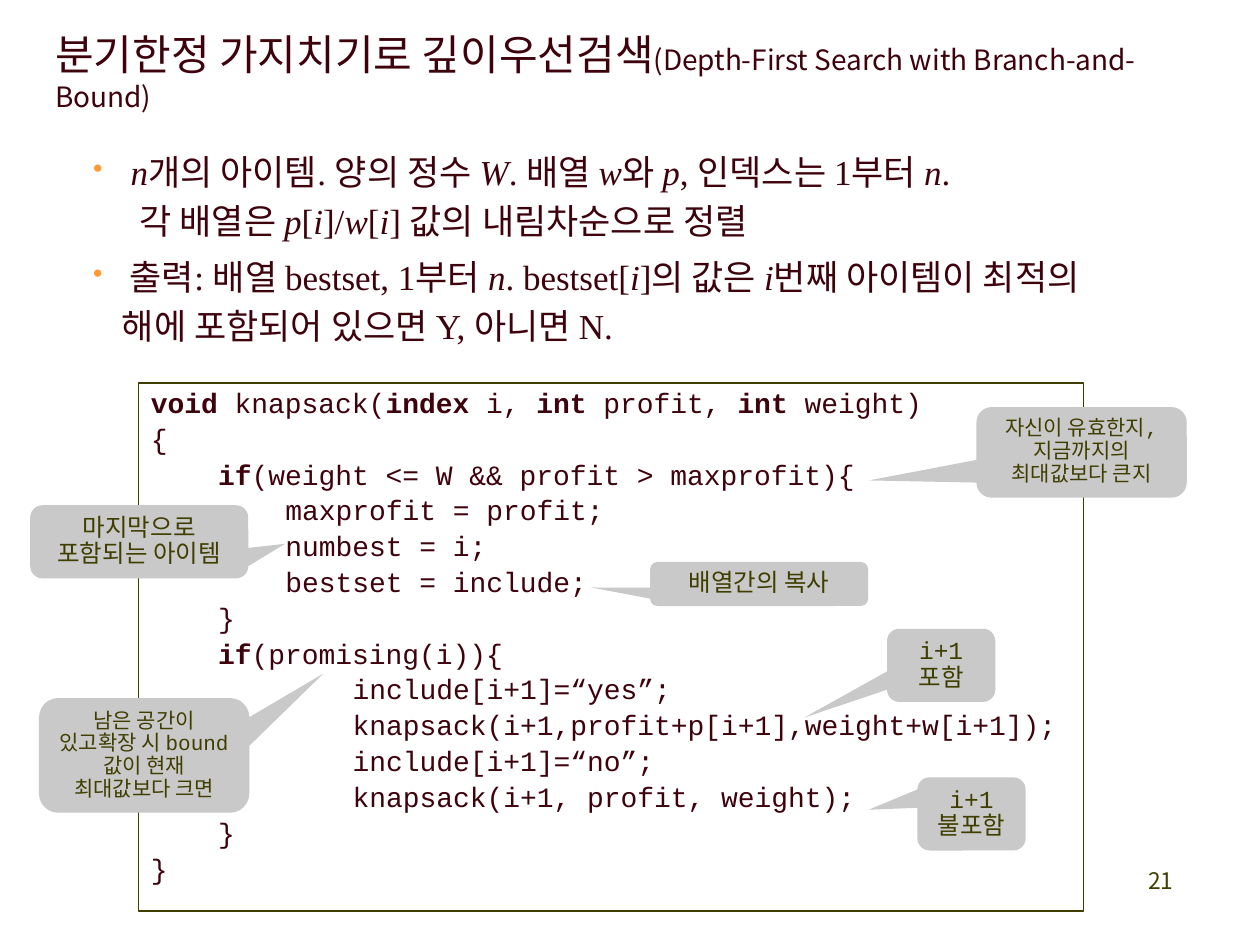
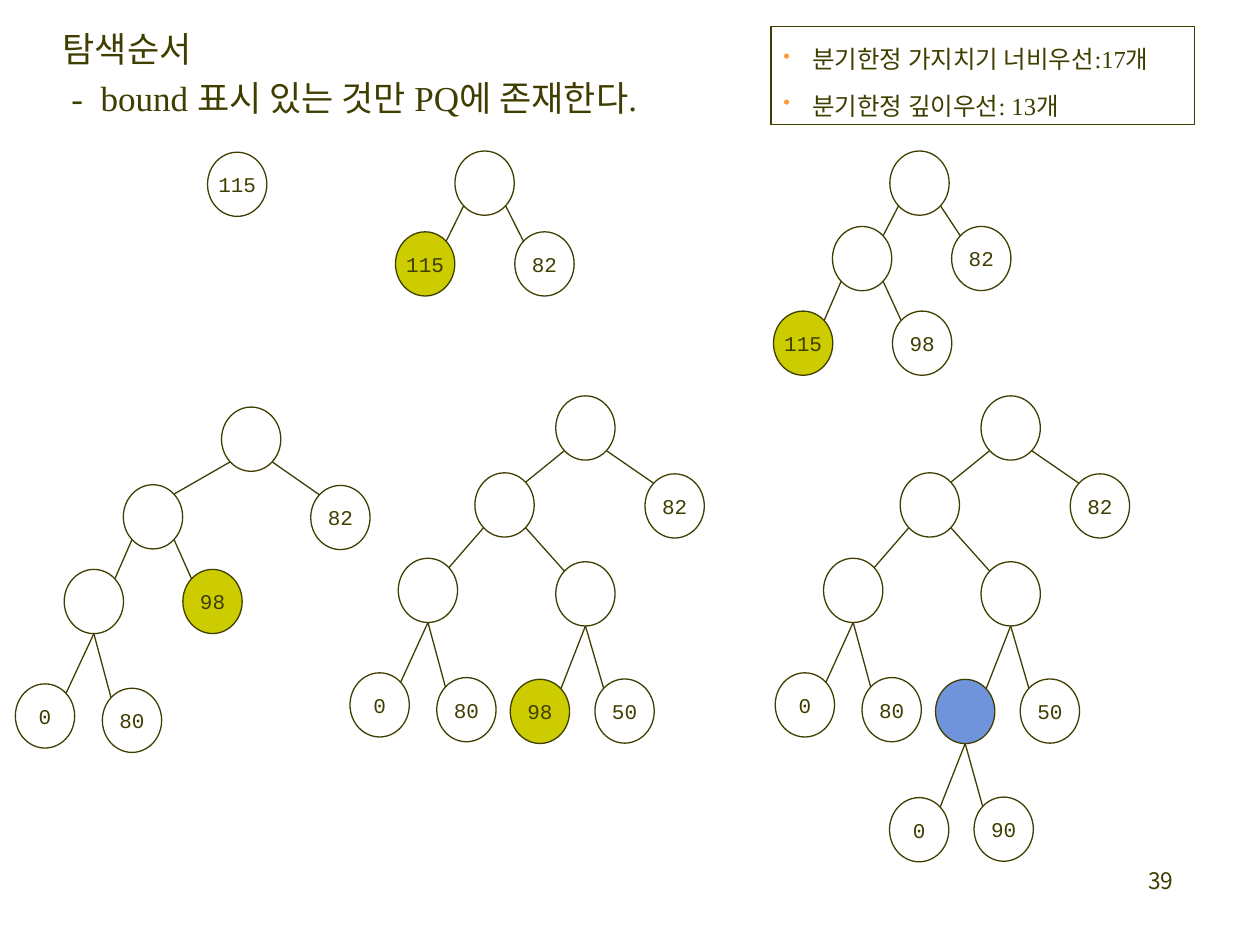
import dataclasses

import pptx
import pptx.dml.color
import pptx.enum.shapes
import pptx.enum.text
import pptx.oxml.ns
import pptx.util
from lxml import etree

Pt = pptx.util.Pt
qn = pptx.oxml.ns.qn
ALIGN = pptx.enum.text.PP_ALIGN
ANCHOR = pptx.enum.text.MSO_ANCHOR
SHAPE = pptx.enum.shapes.MSO_SHAPE

# Shared look
OLIVE, MAROON, ORANGE = "3F3E00", "3E020C", "FF9933"
GREY, LIME, BLUE = "C9C9C9", "CCCC00", "7094DC"
SANS, SERIF, MONO = "Noto Sans CJK KR", "Times New Roman", "Courier New"
BULLET_INDENT = 16.5
CODE_INDENT = 38.4  # four characters of the 16 pt code font
NODE_W, NODE_H = 33.9, 36.7
CORNER = 0.146  # where the diagonal meets the outline of a node


@dataclasses.dataclass
class Style:
    font: str
    size: float
    color: str = OLIVE
    align: object = ALIGN.LEFT
    line: object = None
    before: bool = False  # a fifth of a line above each paragraph
    bullet: bool = False
    emphasis: str = ""  # what *starred* parts become: bold or italic


TITLE = Style(SANS, 24, MAROON)
SUBTITLE = Style(SANS, 16, MAROON)
PAGE_NUMBER = Style(SANS, 13, align=ALIGN.RIGHT)
BODY = Style(SERIF, 20, MAROON, line=Pt(28), before=True, bullet=True, emphasis="italic")
CODE = Style(MONO, 16, MAROON, line=0.9, before=True, emphasis="bold")
ORDER_TITLE = Style(SERIF, 20, line=Pt(28))
COUNTS = Style(SERIF, 14, line=Pt(24), before=True, bullet=True)
NODE_LABEL = Style(MONO, 12, align=ALIGN.CENTER)


def rgb(color):
    return pptx.dml.color.RGBColor.from_string(color)


# Text
def add_run(paragraph, text, style, emphasised=False):
    run = paragraph.add_run()
    run.text = text
    run.font.name, run.font.size = style.font, Pt(style.size)
    run.font.color.rgb = rgb(style.color)
    if style.emphasis:
        setattr(run.font, style.emphasis, emphasised)
    latin = run.font._element.find(qn("a:latin"))
    east_asian = etree.Element(qn("a:ea"), typeface=SANS)
    latin.addnext(east_asian)


def add_marked_text(paragraph, text, style):
    for part, words in enumerate(text.split("*")):
        for row, piece in enumerate(words.split("\n")):
            if row:
                paragraph.add_line_break()
            if piece:
                add_run(paragraph, piece, style, part % 2 == 1)


def format_paragraph(paragraph, style, indent=0):
    paragraph.alignment = style.align
    paragraph.line_spacing = style.line
    props = paragraph._p.get_or_add_pPr()
    if style.before:
        paragraph.space_before = Pt(0)
        before = props.find(qn("a:spcBef"))
        before.clear()
        etree.SubElement(before, qn("a:spcPct"), val="20000")
    if style.bullet:
        props.set("marL", str(Pt(BULLET_INDENT)))
        props.set("indent", str(-Pt(BULLET_INDENT)))
        color = etree.SubElement(props, qn("a:buClr"))
        etree.SubElement(color, qn("a:srgbClr"), val=ORANGE)
        etree.SubElement(props, qn("a:buSzPct"), val="80000")
        etree.SubElement(props, qn("a:buChar"), char="•")
    elif indent:
        props.set("marL", str(Pt(indent)))
        props.set("indent", "0")


def fill_text(shape, lines, style, anchor=ANCHOR.TOP, indents=None, grow=True):
    frame = shape.text_frame
    frame.word_wrap = True
    frame.vertical_anchor = anchor
    if grow:
        frame.auto_size = pptx.enum.text.MSO_AUTO_SIZE.SHAPE_TO_FIT_TEXT
    for number, line in enumerate(lines):
        paragraph = frame.add_paragraph() if number else frame.paragraphs[0]
        format_paragraph(paragraph, style, indents[number] if indents else 0)
        add_marked_text(paragraph, line, style)
    return frame


# Elements
def add_text_box(slide, box, lines, style, grow=True):
    shape = slide.shapes.add_textbox(*map(Pt, box))
    return fill_text(shape, lines, style, grow=grow)


def add_outline(slide, preset, box, fill=None, line=OLIVE):
    shape = slide.shapes.add_shape(preset, *map(Pt, box))
    shape.shadow.inherit = False
    if fill:
        shape.fill.solid()
        shape.fill.fore_color.rgb = rgb(fill)
    else:
        shape.fill.background()
    if line:
        shape.line.color.rgb = rgb(line)
        shape.line.width = Pt(0.75)
    else:
        shape.line.fill.background()
    return shape


def add_callout(slide, box, tail, size, text):
    shape = add_outline(slide, SHAPE.ROUNDED_RECTANGULAR_CALLOUT, box, GREY, None)
    for number, value in enumerate((*tail, 0.167)):
        shape.adjustments[number] = value
    style = Style(MONO, size, align=ALIGN.CENTER, line=0.9, before=True)
    fill_text(shape, [text], style)


def add_page_number(slide, number):
    add_text_box(slide, (527.8, 491.8, 149.8, 36), [str(number)], PAGE_NUMBER, grow=False)


def add_edge(slide, start, end):
    edge = slide.shapes.add_connector(
        pptx.enum.shapes.MSO_CONNECTOR.STRAIGHT, *map(Pt, (*start, *end)))
    edge.line.color.rgb = rgb(OLIVE)
    edge.line.width = Pt(0.75)
    etree.SubElement(edge._element.spPr, qn("a:effectLst"))


# Search trees
@dataclasses.dataclass
class Node:
    x: float
    y: float
    label: str = ""
    fill: str = None
    children: tuple = ()

    def at(self, across, down):
        return self.x + across * NODE_W, self.y + down * NODE_H


def shifted(node, dx):
    children = tuple(shifted(child, dx) for child in node.children)
    return dataclasses.replace(node, x=node.x + dx, children=children)


def draw_tree(slide, node):
    shape = add_outline(slide, SHAPE.OVAL, (node.x, node.y, NODE_W, NODE_H), node.fill)
    if node.label:
        frame = fill_text(shape, [node.label], NODE_LABEL, ANCHOR.MIDDLE)
        frame.margin_left = frame.margin_right = 0
        frame.margin_top = frame.margin_bottom = Pt(5.76)
    if not node.children:
        return
    for child in node.children:
        draw_tree(slide, child)
    # Close siblings hang from the bottom point, others from the corners
    left, right = node.children
    close = right.x - left.x < 60
    near, far = CORNER, 1 - CORNER
    add_edge(slide, node.at(0.5, 1) if close else node.at(near, far), left.at(far, near))
    add_edge(slide, node.at(0.5, 1) if close else node.at(far, far), right.at(near, near))


def five_level_tree(expanded):
    """The tree before and after the 98 node is expanded."""
    if expanded:
        best = Node(291.6, 388.2, "", BLUE,
                    (Node(265.3, 455.8, "0"), Node(313.6, 455.5, "90")))
    else:
        best = Node(291.6, 388.2, "98", LIME)
    left = Node(227.6, 319, children=(Node(200, 384.5, "0"), Node(249.6, 387.2, "80")))
    right = Node(317.6, 321, children=(best, Node(340, 388, "50")))
    inner = Node(271.4, 270.2, children=(left, right))
    return Node(317.6, 226.2, children=(inner, Node(368.6, 270.8, "82")))


SEARCH_TREES = (
    Node(118.6, 87, "115"),
    Node(260, 86.3, children=(Node(226, 132.5, "115", LIME), Node(294.2, 132.5, "82"))),
    Node(508.5, 86.3, children=(
        Node(475.7, 129.4, children=(
            Node(442, 177.8, "115", LIME), Node(510, 177.8, "98"))),
        Node(543.8, 129.4, "82"))),
    Node(126.6, 232.6, children=(
        Node(70.5, 277, children=(
            Node(36.7, 325.4, children=(Node(8.8, 390.8, "0"), Node(58.5, 393.3, "80"))),
            Node(104.5, 325.4, "98", LIME))),
        Node(177.6, 277.4, "82"))),
    five_level_tree(expanded=False),
    shifted(five_level_tree(expanded=True), 243),
)

# Indent level and text of each code line
KNAPSACK = (
    (0, "*void* knapsack(*index* i, *int* profit, *int* weight)"),
    (0, "{"),
    (1, "*if*(weight <= W && profit > maxprofit){"),
    (2, "maxprofit = profit;"),
    (2, "numbest = i;"),
    (2, "bestset = include;"),
    (1, "}"),
    (1, "*if*(promising(i)){"),
    (3, "include[i+1]=“yes”;"),
    (3, "knapsack(i+1,profit+p[i+1],weight+w[i+1]);"),
    (3, "include[i+1]=“no”;"),
    (3, "knapsack(i+1, profit, weight);"),
    (1, "}"),
    (0, "}"),
)

# Box, tail tip, text size and text of each remark on the code
REMARKS = (
    ((506.9, 359.3, 61.9, 41.8), (-1.263, 0.713), 14, "i+1 포함"),
    ((524.2, 444.2, 61.9, 41.8), (-0.949, -0.057), 14, "i+1 불포함"),
    ((558, 232.6, 120.2, 51.8), (-1.013, 0.31), 12,
     "자신이 유효한지, 지금까지의 최대값보다 큰지"),
    ((22.3, 398.9, 120.2, 65.5), (0.853, -0.715), 12,
     "남은 공간이 있고확장 시 bound 값이 현재 최대값보다 크면"),
    ((371.5, 321.1, 124.6, 25.2), (-0.77, 0.08), 14, "배열간의 복사"),
    ((17.3, 288.7, 124.6, 41.8), (0.668, 0.028), 14, "마지막으로 포함되는 아이템"),
)


def build_algorithm_slide(slide):
    add_page_number(slide, 21)
    title = add_text_box(slide, (24.5, 13, 671.8, 55.4),
                         ["분기한정 가지치기로 깊이우선검색"], TITLE)
    add_run(title.paragraphs[0], "(Depth-First Search with Branch-and-Bound)", SUBTITLE)
    code_box = add_outline(slide, SHAPE.RECTANGLE, (79.2, 218.9, 540, 301.7))
    fill_text(code_box, [text for _, text in KNAPSACK], CODE,
              indents=[level * CODE_INDENT for level, _ in KNAPSACK])
    add_text_box(slide, (46.1, 78.5, 613.4, 125.3), [
        " *n*개의 아이템. 양의 정수 *W*. 배열 *w*와 *p*, 인덱스는 1부터 *n*. \n"
        "  각 배열은 *p*[*i*]/*w*[*i*] 값의 내림차순으로 정렬",
        " 출력: 배열 bestset, 1부터 *n*. bestset[*i*]의 값은 *i*번째 아이템이 "
        "최적의 해에 포함되어 있으면 Y, 아니면 N.",
    ], BODY)
    for box, tail, size, text in REMARKS:
        add_callout(slide, box, tail, size, text)


def build_search_order_slide(slide):
    add_page_number(slide, 39)
    counts_box = add_outline(slide, SHAPE.RECTANGLE, (440.6, 15.1, 241.9, 56.2))
    fill_text(counts_box, ["분기한정 가지치기 너비우선:17개", "분기한정 깊이우선: 13개"],
              COUNTS, ANCHOR.MIDDLE)
    for tree in SEARCH_TREES:
        draw_tree(slide, tree)
    add_text_box(slide, (28.8, 7.9, 365, 64.1),
                 ["탐색순서", " -  bound 표시 있는 것만 PQ에 존재한다."], ORDER_TITLE)


def main():
    deck = pptx.Presentation()
    deck.slide_width, deck.slide_height = Pt(720), Pt(540)
    blank = deck.slide_layouts[6]
    for build in (build_algorithm_slide, build_search_order_slide):
        build(deck.slides.add_slide(blank))
    deck.save("out.pptx")


main()
